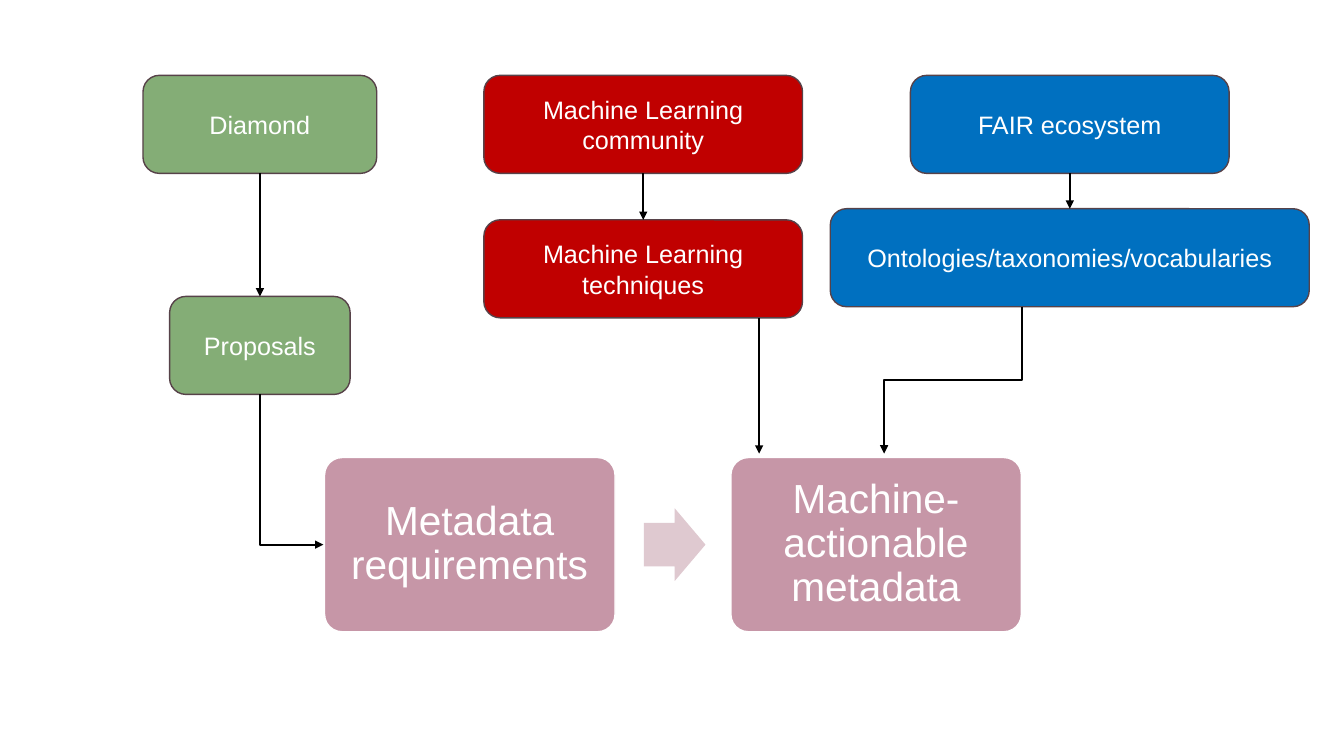
from dataclasses import dataclass

from lxml import etree
from pptx import Presentation
from pptx.dml.color import RGBColor
from pptx.enum.shapes import MSO_CONNECTOR, MSO_SHAPE
from pptx.enum.text import MSO_ANCHOR, PP_ALIGN
from pptx.oxml.ns import qn
from pptx.shapes.autoshape import Shape
from pptx.shapes.connector import Connector
from pptx.slide import Slide
from pptx.util import Cm, Pt

ROUNDED = MSO_SHAPE.ROUNDED_RECTANGLE
RIGHT_ARROW = MSO_SHAPE.RIGHT_ARROW
STRAIGHT = MSO_CONNECTOR.STRAIGHT
ELBOW = MSO_CONNECTOR.ELBOW
MIDDLE = MSO_ANCHOR.MIDDLE
CENTER = PP_ALIGN.CENTER

FONT = "Arial"
COLORS = {
    "green": "84AD76",
    "red": "C00000",
    "blue": "0070C0",
    "mauve": "C696A7",
    "pale mauve": "DFC9D0",
    "outline": "574249",
    "white": "FFFFFF",
    "black": "000000",
}


@dataclass(frozen=True)
class Box:
    """A labelled rounded box; lengths in centimetres."""
    text: str
    center: float
    top: float
    width: float
    fill: str
    height: float = 2.47
    outline: str = "outline"
    size: int = 18
    inset: float = 0.25
    line_spacing: float = 1.0
    corner: float = 0.1667

    @property
    def left(self) -> float:
        return self.center - self.width / 2

    @property
    def bottom(self) -> float:
        return self.top + self.height

    @property
    def middle(self) -> float:
        return self.top + self.height / 2


@dataclass(frozen=True)
class Arrow:
    """An arrow between two points in centimetres; elbows leave downwards."""
    start: tuple[float, float]
    end: tuple[float, float]
    elbow: str = ""


def make_card(text: str, center: float) -> Box:
    return Box(text, center, 11.53, 7.32, "mauve", 4.39, "white", 29, 0.43, 0.9, 0.1)


def arrow_between(upper: Box, lower: Box) -> Arrow:
    return Arrow((upper.center, upper.bottom), (lower.center, lower.top))


DIAMOND = Box("Diamond", 6.55, 1.9, 5.89, "green")
PROPOSALS = Box("Proposals", 6.55, 7.47, 4.55, "green")
COMMUNITY = Box("Machine Learning community", 16.21, 1.9, 8.03, "red")
TECHNIQUES = Box("Machine Learning techniques", 16.21, 5.54, 8.03, "red")
FAIR = Box("FAIR ecosystem", 26.96, 1.9, 8.03, "blue")
ONTOLOGIES = Box("Ontologies/taxonomies/vocabularies", 26.96, 5.26, 12.07, "blue")
REQUIREMENTS = make_card("Metadata requirements", 11.84)
METADATA = make_card("Machine-actionable metadata", 22.08)

BOXES = [REQUIREMENTS, METADATA, DIAMOND, COMMUNITY, FAIR, ONTOLOGIES, PROPOSALS, TECHNIQUES]
METADATA_ENTRY = METADATA.top - 0.1
ARROWS = [
    arrow_between(FAIR, ONTOLOGIES),
    arrow_between(DIAMOND, PROPOSALS),
    arrow_between(COMMUNITY, TECHNIQUES),
    Arrow((19.13, TECHNIQUES.bottom), (19.13, METADATA_ENTRY)),
    Arrow((PROPOSALS.center, PROPOSALS.bottom),
          (REQUIREMENTS.left - 0.03, REQUIREMENTS.middle), "bentConnector2"),
    Arrow((25.76, ONTOLOGIES.bottom), (22.28, METADATA_ENTRY), "bentConnector3"),
]


def color(name: str) -> RGBColor:
    return RGBColor.from_string(COLORS[name])


def fill_shape(shape: Shape, fill: str) -> None:
    shape.shadow.inherit = False
    shape.fill.solid()
    shape.fill.fore_color.rgb = color(fill)


def draw_box(slide: Slide, box: Box) -> None:
    shape = slide.shapes.add_shape(
        ROUNDED, Cm(box.left), Cm(box.top), Cm(box.width), Cm(box.height))
    shape.adjustments[0] = box.corner
    fill_shape(shape, box.fill)
    shape.line.color.rgb = color(box.outline)
    shape.line.width = Pt(1)
    frame = shape.text_frame
    frame.word_wrap = True
    frame.vertical_anchor = MIDDLE
    frame.margin_left = frame.margin_right = Cm(box.inset)
    paragraph = frame.paragraphs[0]
    paragraph.text = box.text
    paragraph.alignment = CENTER
    paragraph.line_spacing = box.line_spacing
    paragraph.font.name = FONT
    paragraph.font.size = Pt(box.size)
    paragraph.font.color.rgb = color("white")


def draw_step_arrow(slide: Slide) -> None:
    """Draw the block arrow between the two metadata cards."""
    height = 1.83
    shape = slide.shapes.add_shape(
        RIGHT_ARROW, Cm(16.23), Cm(REQUIREMENTS.middle - height / 2), Cm(1.55), Cm(height))
    shape.adjustments[0] = 0.6
    shape.adjustments[1] = 0.5
    fill_shape(shape, "pale mauve")
    shape.line.fill.background()


def add_elbow(slide: Slide, arrow: Arrow) -> Connector:
    """Turn a horizontal elbow by a quarter so that it leaves downwards."""
    (start_x, start_y), (end_x, end_y) = arrow.start, arrow.end
    center_x, center_y = (start_x + end_x) / 2, (start_y + end_y) / 2
    half_width, half_height = abs(end_y - start_y) / 2, abs(end_x - start_x) / 2
    connector = slide.shapes.add_connector(
        ELBOW, Cm(center_x - half_width), Cm(center_y - half_height),
        Cm(center_x + half_width), Cm(center_y + half_height))
    properties = connector.element.spPr
    transform = properties.find(qn("a:xfrm"))
    goes_right = end_x > start_x
    transform.set("rot", str((270 if goes_right else 90) * 60000))
    if goes_right:
        transform.set("flipH", "1")
    properties.find(qn("a:prstGeom")).set("prst", arrow.elbow)
    return connector


def draw_arrow(slide: Slide, arrow: Arrow) -> None:
    if arrow.elbow:
        connector = add_elbow(slide, arrow)
    else:
        connector = slide.shapes.add_connector(
            STRAIGHT, *map(Cm, arrow.start), *map(Cm, arrow.end))
    connector.line.color.rgb = color("black")
    connector.line.width = Pt(1.5)
    properties = connector.element.spPr
    line = properties.find(qn("a:ln"))
    etree.SubElement(line, qn("a:tailEnd"), type="triangle")
    etree.SubElement(properties, qn("a:effectLst"))


def main() -> None:
    presentation = Presentation()
    presentation.slide_width = Cm(33.87)
    presentation.slide_height = Cm(19.05)
    slide = presentation.slides.add_slide(presentation.slide_layouts[6])
    for box in BOXES:
        draw_box(slide, box)
    draw_step_arrow(slide)
    for arrow in ARROWS:
        draw_arrow(slide, arrow)
    presentation.save("out.pptx")


if __name__ == "__main__":
    main()
